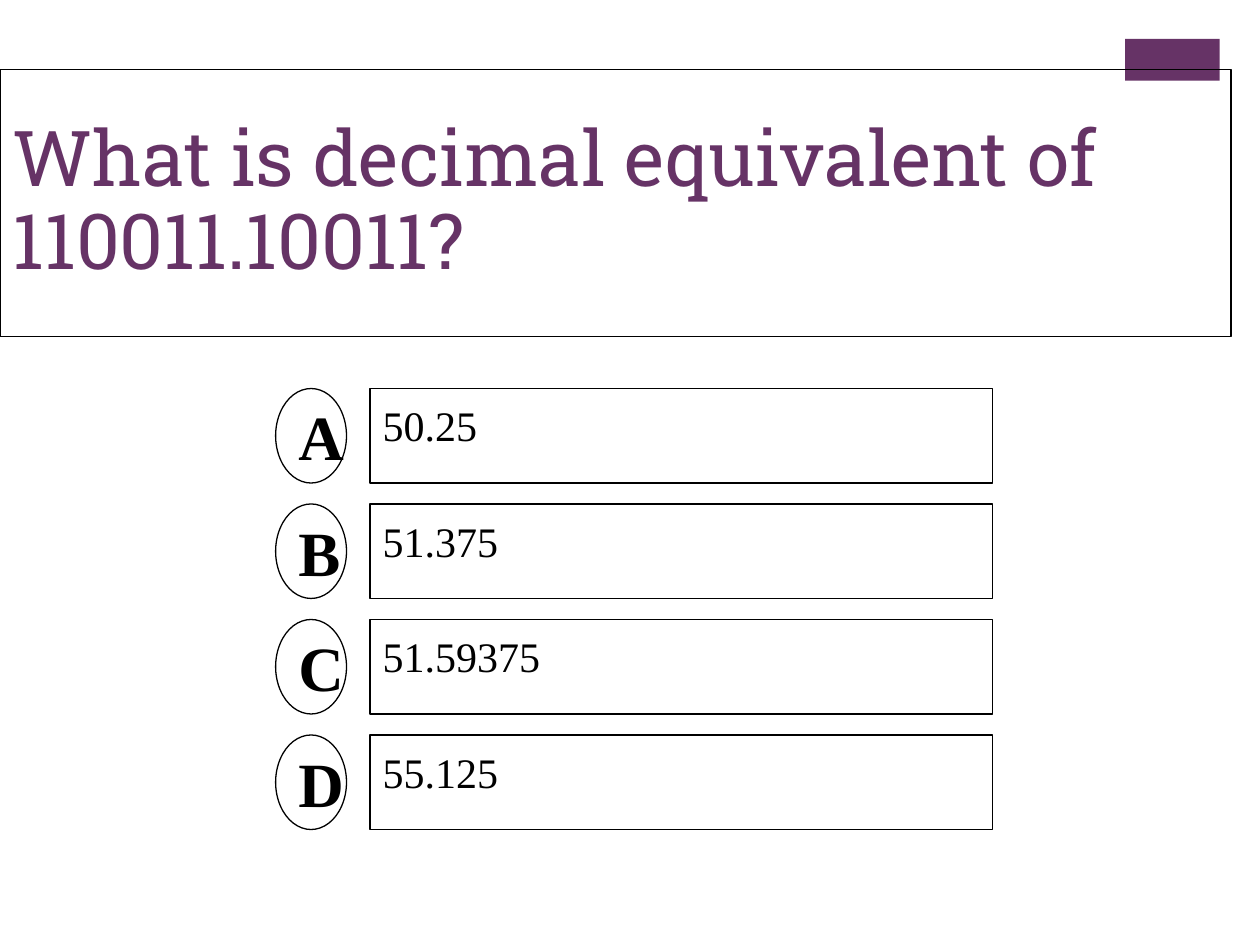
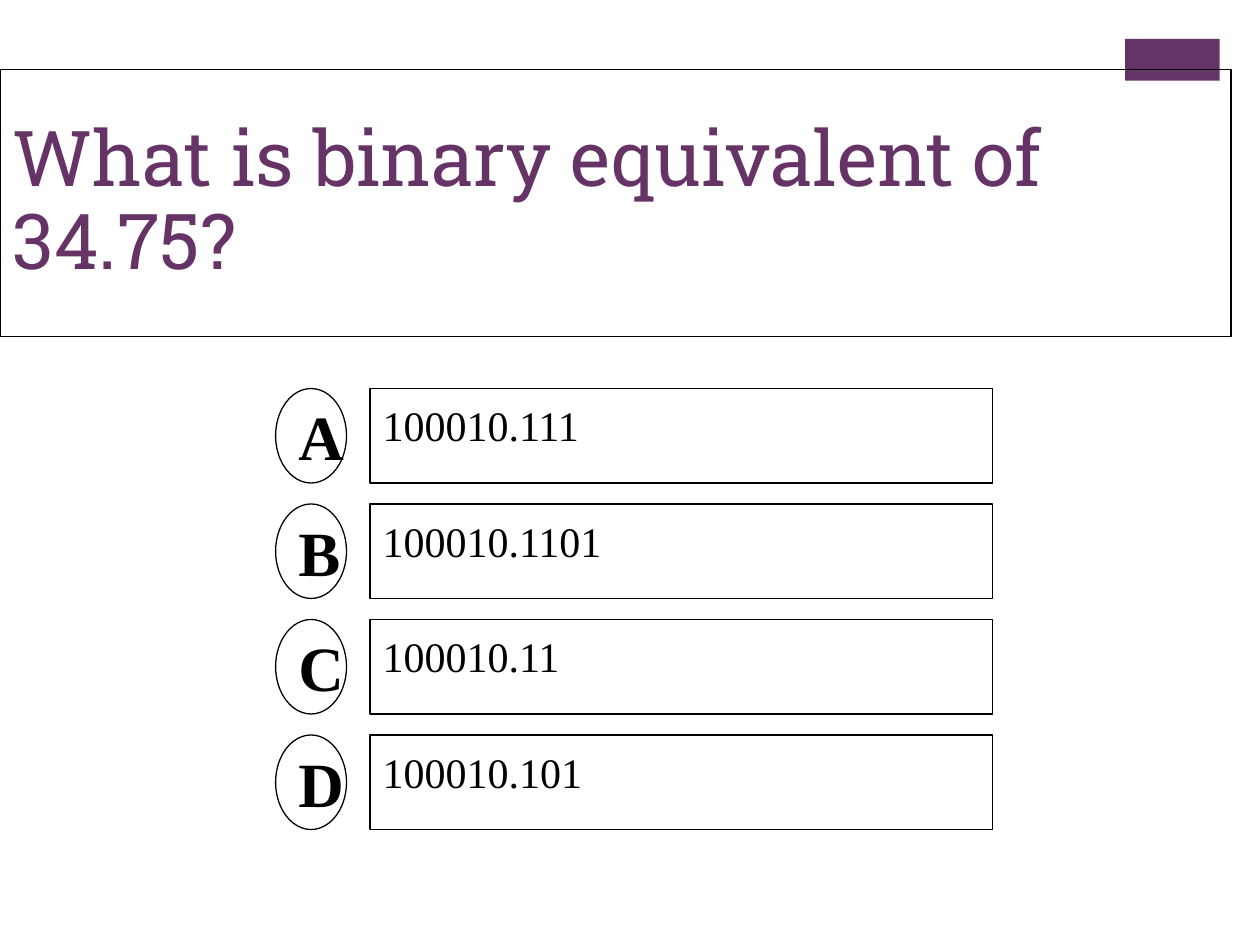
from typing import NamedTuple

from pptx import Presentation
from pptx.dml.color import RGBColor
from pptx.enum.shapes import MSO_SHAPE as Shape
from pptx.enum.text import MSO_ANCHOR as Anchor, MSO_AUTO_SIZE as AutoSize, PP_ALIGN as Align
from pptx.util import Inches, Pt

# Shared style
PURPLE, BLACK, WHITE = "663366", "000000", "FFFFFF"
TITLE_FONT, BODY_FONT = "Roboto Slab", "Times New Roman"
LINE_WIDTH = 0.75

# Grid: sixteen columns and twelve rows to the inch
SLIDE_W, SLIDE_H = Inches(10), Inches(7.5)
COLUMNS, ROWS = 160, 90


class Area(NamedTuple):
    col: float
    row: float
    cols: float
    rows: float

    def emu(self) -> tuple[int, int, int, int]:
        cw, rh = SLIDE_W / COLUMNS, SLIDE_H / ROWS
        return (round(self.col * cw), round(self.row * rh),
                round(self.cols * cw), round(self.rows * rh))


class TextStyle(NamedTuple):
    font: str
    size: int
    color: str
    bold: bool = False


class Question(NamedTuple):
    title: str
    answers: tuple[str, ...]


BAND = Area(142.88, 3.72, 12, 3.96)
TITLE = Area(0, 6.6, 156.32, 25.44)
LETTER = Area(35, 37, 9, 9)
ANSWER = Area(47, 37, 79, 9)
ROW_PITCH = 11

TITLE_STYLE = TextStyle(TITLE_FONT, 44, PURPLE)
LETTER_STYLE = TextStyle(BODY_FONT, 36, BLACK, bold=True)
ANSWER_STYLE = TextStyle(BODY_FONT, 24, BLACK)

QUESTIONS = (
    Question("What is decimal equivalent of 110011.10011?",
             ("50.25", "51.375", "51.59375", "55.125")),
    Question("What is binary equivalent of 34.75?",
             ("100010.111", "100010.1101", "100010.11", "100010.101")),
)


def rgb(color: str) -> RGBColor:
    return RGBColor.from_string(color)


def outline(sp) -> None:
    sp.line.color.rgb = rgb(BLACK)
    sp.line.width = Pt(LINE_WIDTH)


def write(sp, text: str, style: TextStyle, anchor: Anchor, wrap: bool = False):
    tf = sp.text_frame
    tf.text = text
    tf.word_wrap = wrap
    tf.auto_size = AutoSize.NONE
    tf.vertical_anchor = anchor
    p = tf.paragraphs[0]
    p.alignment = Align.LEFT
    for r in p.runs:
        r.font.name, r.font.size, r.font.bold = style.font, Pt(style.size), style.bold
        r.font.color.rgb = rgb(style.color)
    return tf


def add_box(s, kind: Shape, area: Area, fill: str | None = None, lined: bool = True):
    sp = s.shapes.add_shape(kind, *area.emu())
    sp.shadow.inherit = False
    if fill:
        sp.fill.solid()
        sp.fill.fore_color.rgb = rgb(fill)
    else:
        sp.fill.background()
    if lined:
        outline(sp)
    else:
        sp.line.fill.background()
    return sp


def add_layout_band(s) -> None:
    """Put the corner band on the layout, behind everything on its slides."""
    band = add_box(s, Shape.RECTANGLE, BAND, PURPLE, lined=False)
    s.slide_layout.placeholders[0].element.addprevious(band.element)


def add_title(s, text: str) -> None:
    title = s.shapes.title
    title.left, title.top, title.width, title.height = TITLE.emu()
    outline(title)
    tf = write(title, text, TITLE_STYLE, Anchor.MIDDLE, wrap=True)
    tf.paragraphs[0].line_spacing = 0.9


def add_answer(s, index: int, text: str) -> None:
    shift = index * ROW_PITCH
    letter = add_box(s, Shape.OVAL, LETTER._replace(row=LETTER.row + shift))
    write(letter, "ABCD"[index], LETTER_STYLE, Anchor.MIDDLE)
    answer = add_box(s, Shape.RECTANGLE, ANSWER._replace(row=ANSWER.row + shift), WHITE)
    tf = write(answer, text, ANSWER_STYLE, Anchor.TOP)
    tf.margin_top = Inches(0.09)


def main() -> None:
    prs = Presentation()
    prs.slide_width, prs.slide_height = SLIDE_W, SLIDE_H
    title_only = prs.slide_layouts[5]
    for number, question in enumerate(QUESTIONS):
        s = prs.slides.add_slide(title_only)
        if number == 0:
            add_layout_band(s)
        add_title(s, question.title)
        for index, text in enumerate(question.answers):
            add_answer(s, index, text)
    prs.save("out.pptx")


if __name__ == "__main__":
    main()
